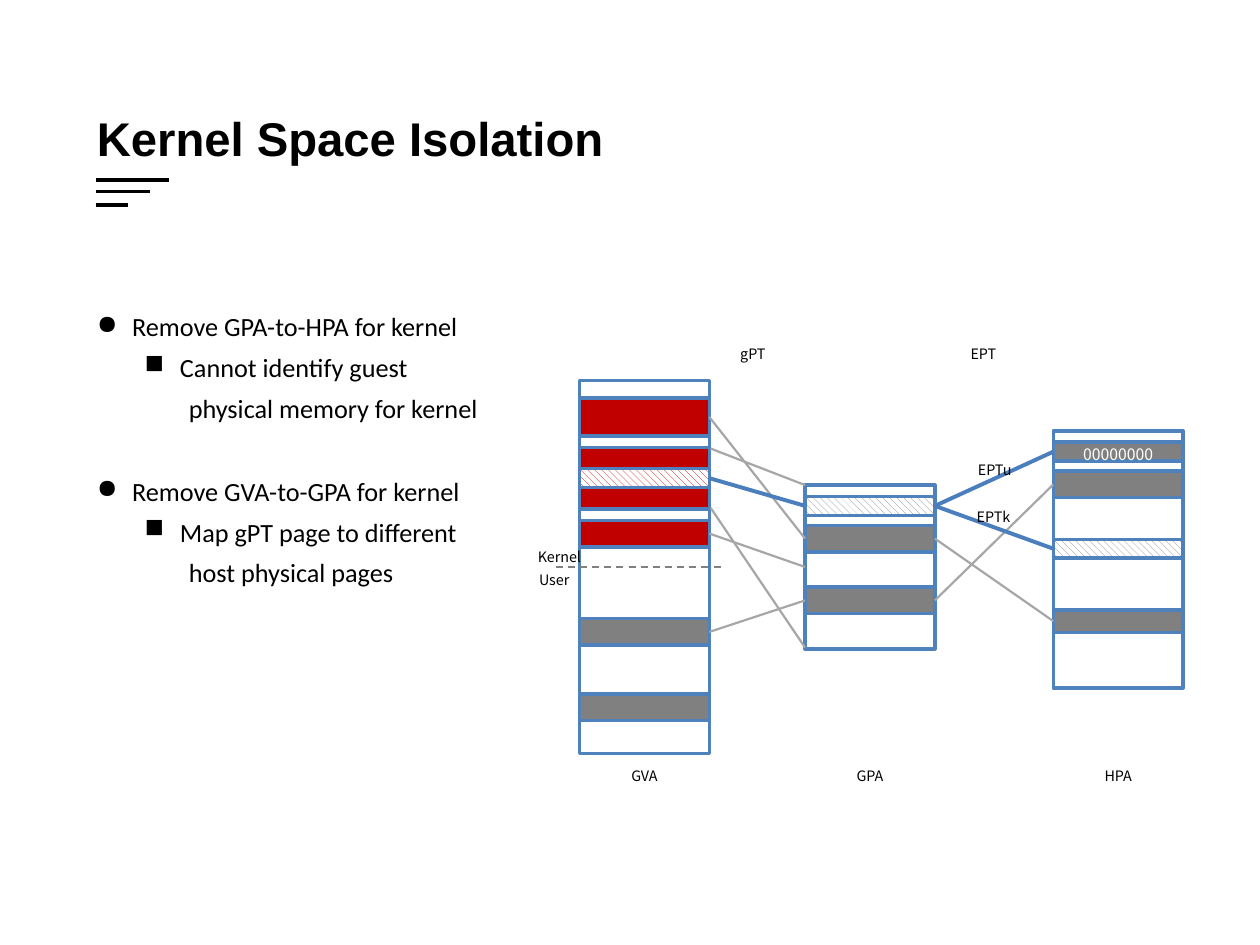
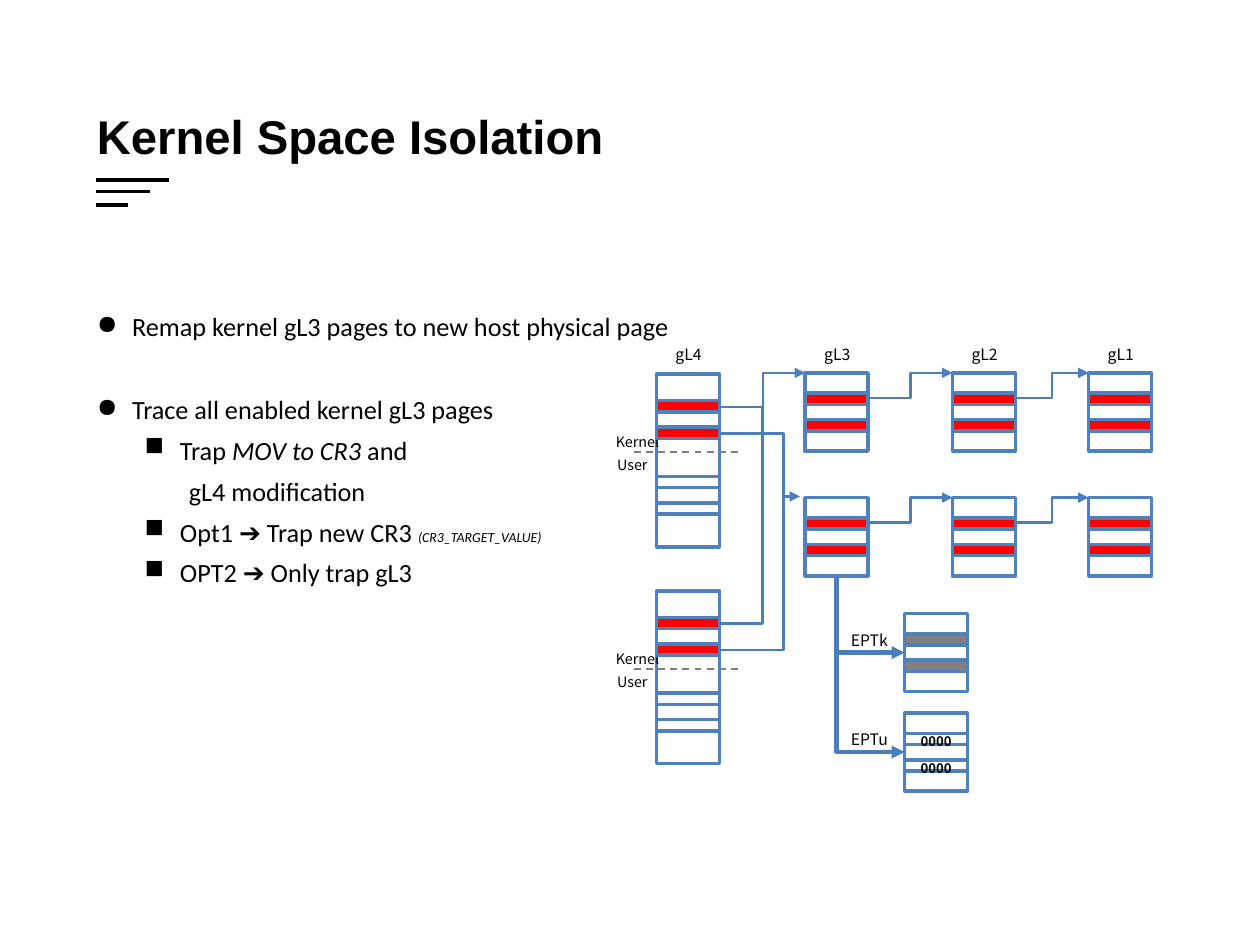
from itertools import pairwise

from lxml import etree
from pptx import Presentation
from pptx import util as u
from pptx.dml import color
from pptx.enum import dml, shapes, text
from pptx.oxml import ns

BLACK, WHITE, GREY, PALE = "000000", "FFFFFF", "808080", "A6A6A6"
BLUE, WIRE, DARK, RED = "4F81BD", "4B7EBC", "C00000", "FF0000"
CENTER = text.PP_ALIGN.CENTER


def rgb(code):
    """Turn a hex string into a colour."""
    return color.RGBColor.from_string(code)


def node(parent, tag, **attrs):
    """Append a drawing element to its parent."""
    return etree.SubElement(parent, ns.qn(tag), attrs)


class Deck:
    """Shared style and the slide being drawn."""

    def __init__(self):
        """Open an empty deck."""
        self.prs = Presentation()
        self.prs.slide_width, self.prs.slide_height = u.Inches(10), u.Inches(7.5)

    def page(self, title, top):
        """Start a slide with its title and the three rules below it."""
        self.slide = self.prs.slides.add_slide(self.prs.slide_layouts[6])
        for end, y in ((1.34, 1.43), (1.19, 1.52), (1.02, 1.63)):
            self.line((0.76, y), (end, y), BLACK, 2.25)
        para = self.frame(0.67, top, 4.29, 0.56).paragraphs[0]
        para.text = title
        self.font(para, 27, BLACK, "Arial", True)

    def frame(self, x, y, w, h):
        """Add a wrapping text box and return its frame."""
        box = self.slide.shapes.add_textbox(*map(u.Inches, (x, y, w, h)))
        box.text_frame.word_wrap = True
        return box.text_frame

    def font(self, para, size, tint, face="Noto Sans CJK SC", bold=False):
        """Format every run of a paragraph."""
        for run in para.runs:
            run.font.size, run.font.name, run.font.bold = u.Pt(size), face, bold
            run.font.color.rgb = rgb(tint)
            node(run.font._element, "a:ea", typeface=face)

    def label(self, words, x, y, w=1.57, size=8.2, align=CENTER):
        """Add a small caption."""
        para = self.frame(x, y, w, 0.28).paragraphs[0]
        para.text, para.alignment = words, align
        para.line_spacing, para.space_before = 1.3, u.Pt(4.5)
        self.font(para, size, BLACK)

    def body(self, items):
        """Add the bullet list; an item is level, space before, then runs."""
        frame = self.frame(0.67, 2.34, 8.98, 3.5)
        marks = ((0.28, "●"), (0.66, "■"), (0.73, None))
        for i, (level, gap, *parts) in enumerate(items):
            para = frame.add_paragraph() if i else frame.paragraphs[0]
            left, mark = marks[level]
            para.level = min(level, 1)
            para.line_spacing, para.space_before = 1.3, u.Pt(gap)
            for part in parts:
                para.add_run().text = part[0] if isinstance(part, tuple) else part
            self.font(para, 15, BLACK, "Calibri")
            for run, part in zip(para.runs, parts):
                if isinstance(part, tuple):
                    run.font.italic, run.font.size = True, u.Pt(part[1])
            props = para._p.get_or_add_pPr()
            props.set("marL", str(u.Inches(left)))
            props.set("indent", str(u.Inches(-0.28 if mark else 0)))
            if mark:
                node(props, "a:buChar", char=mark)
            else:
                node(props, "a:buNone")

    def rect(self, x, y, w, h, fill=None, hatch=False, words="", size=9, tint=WHITE, bold=False):
        """Add an outlined block, empty, filled or hatched."""
        box = self.slide.shapes.add_shape(
            shapes.MSO_SHAPE.RECTANGLE, *map(u.Inches, (x, y, w, h)))
        box.shadow.inherit = False
        box.line.color.rgb, box.line.width = rgb(BLUE), u.Pt(2)
        if hatch:
            box.fill.patterned()
            box.fill.pattern = dml.MSO_PATTERN.WIDE_DOWNWARD_DIAGONAL
            box.fill.fore_color.rgb, box.fill.back_color.rgb = rgb(fill), rgb(WHITE)
        elif fill:
            box.fill.solid()
            box.fill.fore_color.rgb = rgb(fill)
        else:
            box.fill.background()
        if words:
            frame = box.text_frame
            frame.margin_left = frame.margin_right = u.Inches(0.07)
            frame.margin_top = frame.margin_bottom = u.Inches(0.04)
            frame.vertical_anchor = text.MSO_ANCHOR.MIDDLE
            para = frame.paragraphs[0]
            para.text, para.alignment, para.line_spacing = words, CENTER, 1.3
            self.font(para, size, tint, bold=bold)
        return box

    def line(self, start, end, tint=WIRE, width=1.5, kind="STRAIGHT"):
        """Add a connector between points or (block, side) pairs."""
        spots = [(0, 0) if hasattr(p[0], "shape_id") else p for p in (start, end)]
        wire = self.slide.shapes.add_connector(
            shapes.MSO_CONNECTOR[kind], *(u.Inches(v) for p in spots for v in p))
        for point, join in ((start, wire.begin_connect), (end, wire.end_connect)):
            if hasattr(point[0], "shape_id"):
                join(*point)
        wire.line.color.rgb, wire.line.width = rgb(tint), u.Pt(width)
        node(wire._element.spPr, "a:effectLst")
        return wire

    def elbow(self, start, end, bend=0.5):
        """Add a three-part arrow that turns at a share of its width."""
        wire = self.line(start, end, kind="ELBOW")
        node(wire.line._get_or_add_ln(), "a:tailEnd", type="triangle")
        guides = wire._element.spPr.find(ns.qn("a:prstGeom")).get_or_add_avLst()
        node(guides, "a:gd", name="adj1", fmla=f"val {round(bend * 100000)}")

    def corner(self, start, end, width=1.5, arrow=False):
        """Add a two-part line, across and then up, with an arrow at its start."""
        wire = self.line(start, end, width=width, kind="ELBOW")
        wire._element.spPr.find(ns.qn("a:prstGeom")).set("prst", "bentConnector2")
        if arrow:
            node(wire.line._get_or_add_ln(), "a:headEnd", type="triangle")

    def split(self, x, y, w, lift=0.24, drop=0.06):
        """Mark the border of kernel and user space."""
        self.line((x, y), (x + w, y), GREY, 1).line.dash_style = dml.MSO_LINE.DASH
        for words, dx, dy in (("Kernel", 0.24, lift), ("User", 0.23, drop)):
            self.label(words, x - dx, y - dy, 0.6, align=text.PP_ALIGN.LEFT)

    def table(self, x, y, fill=None, words=""):
        """Add a small page table with two entries."""
        self.rect(x, y, 0.5, 0.62)
        for dy in (0.16, 0.37):
            self.rect(x, y + dy, 0.5, 0.09, fill, words=words, size=7.5, tint=BLACK, bold=True)

    def root(self, x, y):
        """Add a top-level table with kernel and user entries."""
        self.rect(x, y, 0.5, 1.37)
        self.split(5.03, y + 0.62, 0.84)
        for dy, fill in ((0.21, RED), (0.42, RED), (0.81, None), (1.02, None)):
            self.rect(x, y + dy, 0.5, 0.09, fill)


def spaces(deck):
    """Draw the mapping of the three address spaces."""
    deck.page("Kernel Space Isolation", 0.82)
    deck.body([
        (0, 0, "Remove GPA-to-HPA for kernel"),
        (1, 0, "Cannot identify guest"),
        (2, 0, "physical memory for kernel"),
        (0, 23.8, "Remove GVA-to-GPA for kernel"),
        (1, 0, "Map gPT page to different"),
        (2, 0, "host physical pages"),
    ])
    wide, gva, gpa, hpa = 1.03, 4.6, 6.39, 8.36
    deck.rect(gva, 3.02, wide, 2.96)
    guest = deck.rect(gpa, 3.85, wide, 1.3)
    deck.rect(hpa, 3.42, wide, 2.04)
    deck.split(4.41, 4.5, 1.34)
    for words, x in (("GVA", gva), ("GPA", gpa), ("HPA", hpa)):
        deck.label(words, x - 0.27, 6)

    user, _, _, low, top = [
        deck.rect(gva, y, wide, h, fill) for y, h, fill in (
            (4.91, 0.21, GREY), (5.51, 0.21, GREY), (3.55, 0.49, DARK),
            (4.13, 0.21, DARK), (3.16, 0.3, DARK))]
    mid, base = [deck.rect(gpa, y, wide, 0.21, GREY) for y in (4.17, 4.66)]
    near, far = [deck.rect(hpa, y, wide, h, GREY) for y, h in ((3.74, 0.21), (4.84, 0.18))]
    for a, b in (
            ((mid, 3), (far, 1)), ((base, 3), (near, 1)),
            ((5.64, 3.56), (gpa, 3.85)), ((5.64, 4.03), (gpa, 5.14)),
            ((top, 3), (mid, 1)), ((low, 3), (guest, 1)), ((user, 3), (base, 1))):
        deck.line(a, b, PALE, 1.25)

    page, link, real = [
        deck.rect(x, y, wide, 0.15, fill, True)
        for x, y, fill in ((gva, 3.72, DARK), (gpa, 3.94, GREY), (hpa, 4.28, GREY))]
    zero = deck.rect(hpa, 3.51, wide, 0.15, GREY, words="00000000")
    for a, b in ((page, link), (link, real), (link, zero)):
        deck.line((a, 3), (b, 1), width=2.25)
    for words, x, y in (("gPT", 5.19, 2.65), ("EPT", 7.02, 2.65),
                        ("EPTu", 7.11, 3.57), ("EPTk", 7.1, 3.94)):
        deck.label(words, x, y)


def tables(deck):
    """Draw the page tables and their remapping."""
    deck.page("Kernel Space Isolation", 0.8)
    cols, rows, roots = (6.39, 7.56, 8.64), (2.96, 3.95), (2.97, 4.69)
    for y in roots:
        deck.root(5.21, y)
    for y in rows:
        for x in cols:
            deck.table(x, y, RED)
        for a, b in pairwise(cols):
            deck.elbow((a + 0.5, y + 0.2), (b, y))
    deck.elbow((5.72, 3.23), (6.39, 2.96))
    deck.elbow((5.72, 3.44), (6.35, 3.94), 0.79)
    deck.corner((5.72, 4.95), (6.05, 3.23))
    deck.corner((5.72, 5.16), (6.22, 3.87))
    for words, x in zip(("gL4", "gL3", "gL2", "gL1"), (5.21, *cols)):
        deck.label(words, x - 0.53, 2.64, size=9)
    for words, y, fill, value in (("EPTk", 4.87, GREY, ""), ("EPTu", 5.66, None, "0000")):
        deck.table(7.18, y, fill, value)
        deck.corner((7.18, y + 0.31), (6.64, 4.58), 2.5, True)
        deck.label(words, 6.56, y + 0.04, 0.68, 9)
    deck.body([
        (0, 0, "Remap kernel gL3 pages to new host physical page"),
        (0, 23.8, "Trace all enabled kernel gL3 pages"),
        (1, 0, "Trap ", ("MOV to CR3 ", 15), "and"),
        (2, 0, "gL4 modification"),
        (1, 0, "Opt1 ➔ Trap new CR3 ", ("(CR3_TARGET_VALUE)", 7.9)),
        (1, 0, "OPT2 ➔ Only trap gL3"),
    ])


def main():
    """Build both slides and save them."""
    deck = Deck()
    spaces(deck)
    tables(deck)
    deck.prs.save("out.pptx")


if __name__ == "__main__":
    main()
